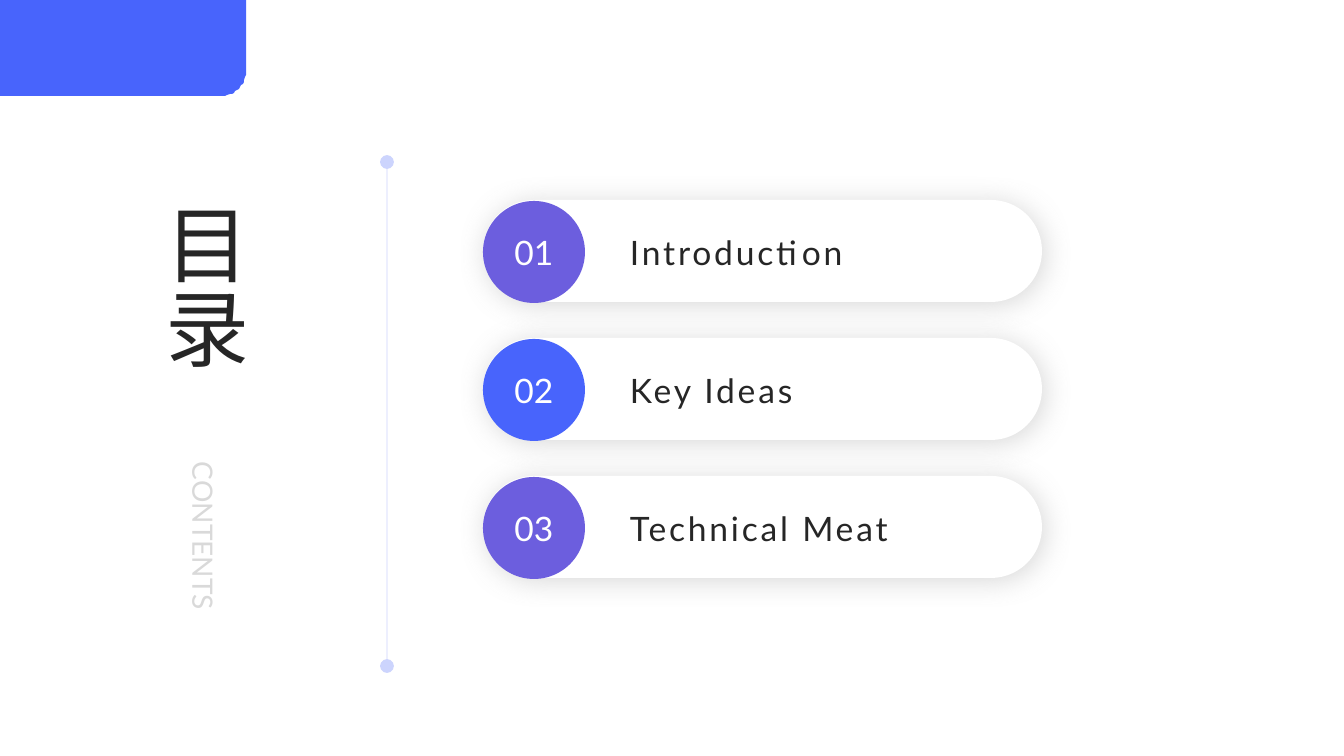
import math

from lxml import etree
from pptx import Presentation
from pptx.dml.color import RGBColor
from pptx.enum.shapes import MSO_CONNECTOR, MSO_SHAPE
from pptx.enum.text import MSO_ANCHOR, PP_ALIGN
from pptx.oxml.ns import qn
from pptx.util import Emu, Pt

STRAIGHT = MSO_CONNECTOR.STRAIGHT
PILL, CIRCLE = MSO_SHAPE.ROUNDED_RECTANGLE, MSO_SHAPE.OVAL
MIDDLE = MSO_ANCHOR.MIDDLE
LEFT, CENTER, RIGHT, JUSTIFY = PP_ALIGN.LEFT, PP_ALIGN.CENTER, PP_ALIGN.RIGHT, PP_ALIGN.JUSTIFY

EMU_PER_PX = 914400 / 100.8
WHITE, INK, PALE_GRAY, SHADOW_GRAY = "FFFFFF", "262626", "D9D9D9", "808080"
BLUE, PURPLE, DEEP_BLUE = "4864FC", "6C5EDE", "002AF9"

CHAPTERS = ["Introduction", "Key Ideas", "Technical Meat"]
FIRST_TOP, PITCH = 201, 138
ROW_LEFT, ROW_HEIGHT, PILL_WIDTH = 483, 102, 559


def px(length):
    return Emu(round(length * EMU_PER_PX))


def rgb(value):
    return RGBColor.from_string(value)


def add_xml(parent, tag, **attributes):
    return etree.SubElement(parent, qn(tag), attributes)


class ContentsSlide:
    font_name = "Lato"

    def __init__(self, deck):
        self.slide = deck.slides.add_slide(deck.slide_layouts[5])
        self.shapes = self.slide.shapes

    def place(self, shape, box):
        for name, length in zip(("left", "top", "width", "height"), box):
            setattr(shape, name, px(length))

    def set_text(self, shape, text, size, color, align=LEFT, insets=(0, 0),
                 vertical=False, spacing=None):
        """Fill a shape with one formatted line; insets are (sides, top and bottom)."""
        frame = shape.text_frame
        side, end = map(px, insets)
        frame_format = {"word_wrap": True, "vertical_anchor": MIDDLE,
                        "margin_left": side, "margin_right": side,
                        "margin_top": end, "margin_bottom": end}
        for name, value in frame_format.items():
            setattr(frame, name, value)
        if vertical:
            frame._txBody.bodyPr.set("vert", "eaVert")
        paragraph = frame.paragraphs[0]
        paragraph.alignment = align
        run = paragraph.add_run()
        run.text = text
        for name, value in {"name": self.font_name, "size": Pt(size)}.items():
            setattr(run.font, name, value)
        run.font.color.rgb = rgb(color)
        if spacing:
            run._r.get_or_add_rPr().set("spc", str(spacing * 100))

    def title(self, box, text, **style):
        heading = self.shapes.title
        self.place(heading, box)
        self.set_text(heading, text, **style)

    def label(self, box, text, **style):
        self.set_text(self.shapes.add_textbox(*map(px, box)), text, **style)

    def paint(self, shape, color):
        shape.shadow.inherit = False
        shape.fill.solid()
        shape.fill.fore_color.rgb = rgb(color)
        shape.line.fill.background()

    def corner_block(self, width, height, radius, color):
        """Block in the slide's top left corner with its lower right corner rounded."""
        arc = [(width - radius + radius * math.cos(angle),
                height - radius + radius * math.sin(angle))
               for angle in (math.radians(degree) for degree in range(0, 91, 5))]
        outline = self.shapes.build_freeform(0, 0, scale=EMU_PER_PX)
        outline.add_line_segments([(width, 0), *arc, (0, height)], close=True)
        self.paint(outline.convert_to_shape(), color)

    def divider(self, x, top, bottom, color, opacity):
        """Thin translucent vertical line with a dot at each end."""
        line = self.shapes.add_connector(STRAIGHT, *map(px, (x, top, x, bottom)))
        line.line.width = Pt(0.5)
        line.line.color.rgb = rgb(color)
        outline = line.line._ln
        add_xml(outline.find(".//" + qn("a:srgbClr")), "a:alpha", val=str(opacity * 1000))
        for end in ("a:headEnd", "a:tailEnd"):
            add_xml(outline, end, type="oval", w="lg", len="lg")
        add_xml(line._element.spPr, "a:effectLst")

    def pill(self, box):
        """Fully rounded white bar with a soft shadow."""
        bar = self.shapes.add_shape(PILL, *map(px, box))
        bar.adjustments[0] = 0.5
        self.paint(bar, WHITE)
        effects = bar._element.spPr.find(qn("a:effectLst"))
        shadow = add_xml(effects, "a:outerShdw", blurRad=str(Pt(20)), dist=str(Pt(3)),
                         dir=str(45 * 60000), algn="tl", rotWithShape="0")
        tint = add_xml(shadow, "a:srgbClr", val=SHADOW_GRAY)
        add_xml(tint, "a:alpha", val="30000")

    def badge(self, box, number, color):
        circle = self.shapes.add_shape(CIRCLE, *map(px, box))
        self.paint(circle, color)
        self.set_text(circle, number, size=24, color=WHITE, align=CENTER)

    def chapter(self, index, name):
        top = FIRST_TOP + index * PITCH
        self.pill((ROW_LEFT, top - 1, PILL_WIDTH, ROW_HEIGHT))
        self.badge((ROW_LEFT, top, ROW_HEIGHT, ROW_HEIGHT), f"{index + 1:02}",
                   (PURPLE, BLUE)[index % 2])
        self.label((620, top, 422, ROW_HEIGHT), name, size=24, color=INK,
                   insets=(10, 0), spacing=2)


def main():
    deck = Presentation()
    deck.slide_width, deck.slide_height = px(1344), px(756)
    contents = ContentsSlide(deck)
    contents.divider(387, 162, 666, DEEP_BLUE, opacity=20)
    contents.corner_block(246, 96, 25, BLUE)
    contents.label((128, 457, 151, 215), "CONTENTS", size=20, color=PALE_GRAY,
                   align=JUSTIFY, insets=(10, 5), vertical=True)
    contents.title((129, 198, 151, 234), "目录", size=60, color=INK,
                   align=RIGHT, insets=(10, 5), vertical=True)
    for index, name in enumerate(CHAPTERS):
        contents.chapter(index, name)
    deck.save("out.pptx")


if __name__ == "__main__":
    main()
